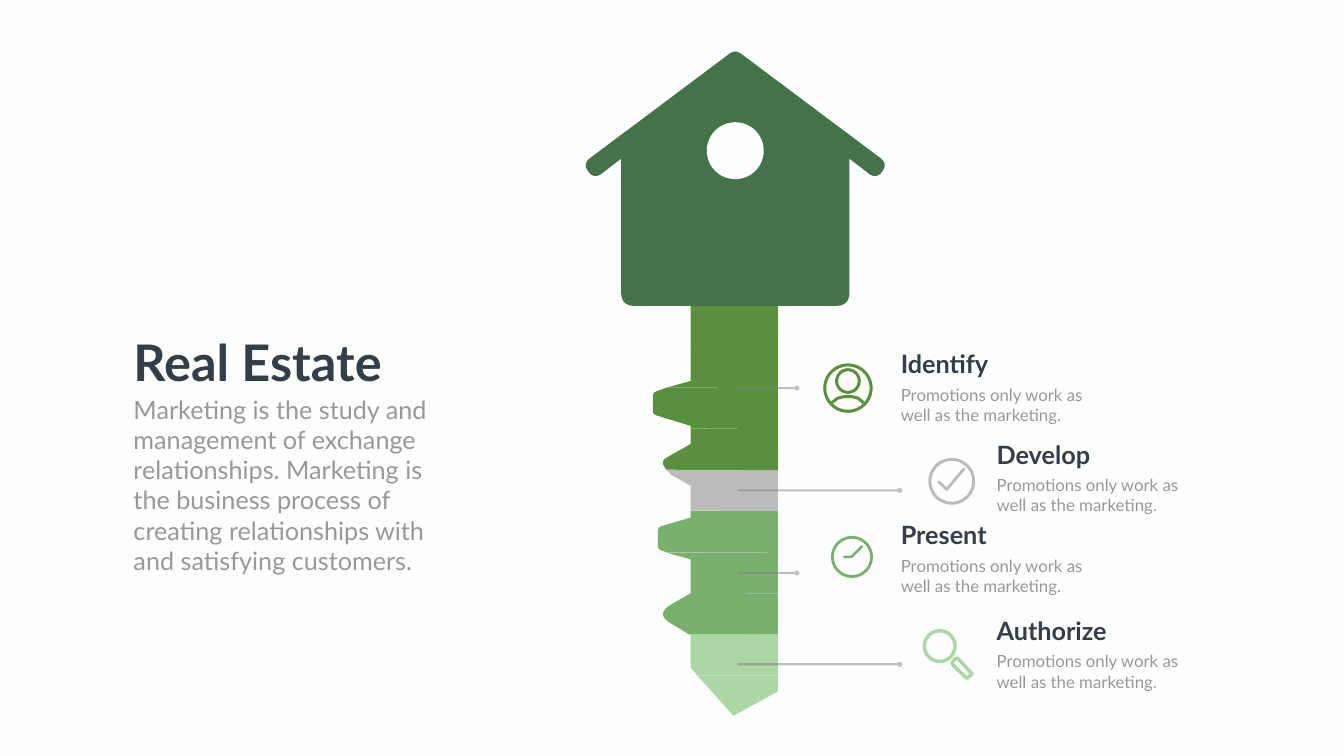
from lxml.etree import SubElement
from pptx import Presentation
from pptx.dml.color import RGBColor
from pptx.enum.shapes import MSO_CONNECTOR, MSO_SHAPE
from pptx.enum.text import MSO_AUTO_SIZE
from pptx.oxml.ns import qn
from pptx.util import Inches, Pt
from math import hypot

PAPER = RGBColor(0xFD, 0xFF, 0xFE)
INK = RGBColor(0x34, 0x3E, 0x49)
MUTED = RGBColor(0x98, 0x98, 0x9A)
RULE = RGBColor(0x80, 0x80, 0x80)
DOT = RGBColor(0xC1, 0xC1, 0xC2)
FOREST = RGBColor(0x44, 0x73, 0x4A)
LEAF = RGBColor(0x59, 0x90, 0x3D)
SILVER = RGBColor(0xBB, 0xBC, 0xBB)
SAGE = RGBColor(0x79, 0xB0, 0x6D)
MINT = RGBColor(0xAA, 0xD7, 0xA2)

# The grid has 26.66 columns and 15 rows, each one inch
COLUMNS, ROWS = 26.66, 15
CELL = Inches(1)


def grid(value):
    return round(value * CELL)


def rounded(corners):
    """Turn (x, y, cut) corners into points; a cut corner becomes a curve."""
    points = []
    for index, (x, y, *cut) in enumerate(corners):
        if not cut:
            points.append((x, y))
            continue
        ends = []
        for other in (corners[index - 1], corners[(index + 1) % len(corners)]):
            share = cut[0] / hypot(other[0] - x, other[1] - y)
            ends.append((x + (other[0] - x) * share, y + (other[1] - y) * share))
        (x1, y1), (x2, y2) = ends
        for step in range(9):
            t = step / 8
            a, b, c = (1 - t) ** 2, 2 * t * (1 - t), t * t
            points.append((a * x1 + b * x + c * x2, a * y1 + b * y + c * y2))
    return points


class KeySlide:
    font = "Lato"

    def __init__(self, deck):
        self.page = deck.slides.add_slide(deck.slide_layouts[6])
        self.page.background.fill.solid()
        self.page.background.fill.fore_color.rgb = PAPER

    def paint(self, shape, fill=None, stroke=None, weight=4.3):
        shape.shadow.inherit = False
        if fill is None:
            shape.fill.background()
        else:
            shape.fill.solid()
            shape.fill.fore_color.rgb = fill
        if stroke is None:
            shape.line.fill.background()
        else:
            shape.line.color.rgb = stroke
            shape.line.width = Pt(weight)

    def outline(self, corners, close=True, **look):
        points = [(grid(x), grid(y)) for x, y in rounded(corners)]
        builder = self.page.shapes.build_freeform(*points[0], scale=1.0)
        builder.add_line_segments(points[1:], close=close)
        self.paint(builder.convert_to_shape(), **look)

    def circle(self, x, y, diameter, **look):
        left, top = x - diameter / 2, y - diameter / 2
        shape = self.page.shapes.add_shape(
            MSO_SHAPE.OVAL, grid(left), grid(top), grid(diameter), grid(diameter))
        self.paint(shape, **look)

    def pointer(self, start, end, y):
        rule = self.page.shapes.add_connector(
            MSO_CONNECTOR.STRAIGHT, grid(start), grid(y), grid(end), grid(y))
        rule.line.color.rgb = RULE
        rule.line.width = Pt(3)
        color = rule.line._ln.find(".//" + qn("a:srgbClr"))
        SubElement(color, qn("a:alpha"), val="50000")
        SubElement(rule._element.spPr, qn("a:effectLst"))
        self.circle(end, y, 0.1, fill=DOT)

    def text(self, x, y, width, height, words, size, color, bold=False, wrap=True):
        box = self.page.shapes.add_textbox(grid(x), grid(y), grid(width), grid(height))
        frame = box.text_frame
        frame.word_wrap = wrap
        frame.auto_size = MSO_AUTO_SIZE.SHAPE_TO_FIT_TEXT
        frame.text = words
        font = frame.paragraphs[0].runs[0].font
        font.name, font.size, font.bold = self.font, Pt(size), bold
        font.color.rgb = color

    def label(self, x, y, heading):
        self.text(x, y, 2.61, 0.71, heading, 36, INK, bold=True)
        self.text(x, y + 0.71, 4.02, 0.91,
                  "Promotions only work as well as the marketing.", 24, MUTED)


def draw_key(slide):
    # Blade: bands of equal height; only the left edge differs
    left, right, top, height = 13.7, 15.43, 6.07, 0.8145
    bands = [
        (LEAF, [(left, 6.07), (left, 6.88)]),
        (LEAF, [(left, 6.88), (left, 7.56), (13.23, 7.69)]),
        (LEAF, [(13.23, 7.69), (12.95, 7.79, 0.08), (12.95, 8.22, 0.08),
                (left, 8.45), (left, 8.5)]),
        (LEAF, [(left, 8.5), (left, 8.81), (13.31, 9.03), (13.1, 9.15, 0.14),
                (13.22, 9.32)]),
        (SILVER, [(13.22, 9.32), (13.31, 9.42), (left, 9.64), (left, 10.13)]),
        (SAGE, [(left, 10.13), (left, 10.27), (13.05, 10.46, 0.08),
                (13.05, 10.9, 0.08), (13.2, 10.95)]),
        (SAGE, [(13.2, 10.96), (left, 11.1), (left, 11.77)]),
        (SAGE, [(left, 11.77), (12.99, 12.18, 0.37), (13.66, 12.58)]),
        (MINT, [(13.66, 12.58), (left, 12.6), (left, 13.24), (13.83, 13.4)]),
        (MINT, [(13.83, 13.4), (14.55, 14.2), (right, 13.72)]),
    ]
    for index, (color, edge) in reversed(list(enumerate(bands))):
        band_top = top + index * height
        bottom = edge[-1][1] if color == MINT else band_top + height
        slide.outline(edge + [(right, bottom), (right, band_top)], fill=color)

    # House: right half, mirrored about its axis
    axis = 14.585
    half = [(0, 0.98, 0.15), (3.03, 3.25, 0.19), (2.8, 3.56, 0.19),
            (2.265, 3.15), (2.265, 6.07, 0.27)]
    right_side = [(axis + x, *rest) for x, *rest in half]
    left_side = [(axis - x, *rest) for x, *rest in reversed(half[1:])]
    slide.outline(right_side + left_side, fill=FOREST)
    slide.circle(axis, 2.99, 1.13, fill=PAPER)


def draw_icons(slide):
    # Person
    slide.circle(16.82, 7.7, 0.92, stroke=LEAF)
    slide.circle(16.82, 7.56, 0.45, stroke=LEAF)
    slide.outline([(16.5, 7.99), (16.62, 7.9), (16.74, 7.87), (16.9, 7.87),
                   (17.02, 7.9), (17.13, 7.99)], close=False, stroke=LEAF)
    # Clock
    slide.circle(16.9, 11.05, 0.78, stroke=SAGE, weight=4)
    slide.outline([(16.73, 11.05), (16.89, 11.05), (17.11, 10.83)],
                  close=False, stroke=SAGE, weight=3.6)
    # Check mark
    slide.circle(18.88, 9.55, 0.87, stroke=SILVER)
    slide.outline([(18.61, 9.55), (18.78, 9.71), (19.13, 9.29)],
                  close=False, stroke=SILVER, weight=4)
    # Magnifier
    slide.outline([(18.87, 13.16, 0.06), (18.98, 13.04, 0.06), (19.28, 13.37),
                   (19.18, 13.46)], stroke=MINT, weight=5)
    slide.circle(18.64, 12.82, 0.61, stroke=MINT, weight=5)


def main():
    deck = Presentation()
    deck.slide_width, deck.slide_height = grid(COLUMNS), grid(ROWS)
    slide = KeySlide(deck)
    draw_key(slide)
    draw_icons(slide)

    # Pointers and labels, alternating between two columns
    near, far = (15.81, 17.77), (17.85, 19.67)
    steps = [("Identify", near, 7.7, 6.87), ("Develop", far, 9.73, 8.66),
             ("Present", near, 11.37, 10.26), ("Authorize", far, 13.18, 12.16)]
    for heading, (end, x), pointer_y, label_y in steps:
        slide.pointer(14.63, end, pointer_y)
        slide.label(x, label_y, heading)

    # Title and introduction
    slide.text(2.55, 6.52, 5.26, 1.31, "Real Estate", 72, INK, bold=True, wrap=False)
    slide.text(2.55, 7.77, 6.54, 3.74,
               "Marketing is the study and management of exchange relationships. "
               "Marketing is the business process of creating relationships with "
               "and satisfying customers.", 36, MUTED)
    deck.save("out.pptx")


if __name__ == "__main__":
    main()
